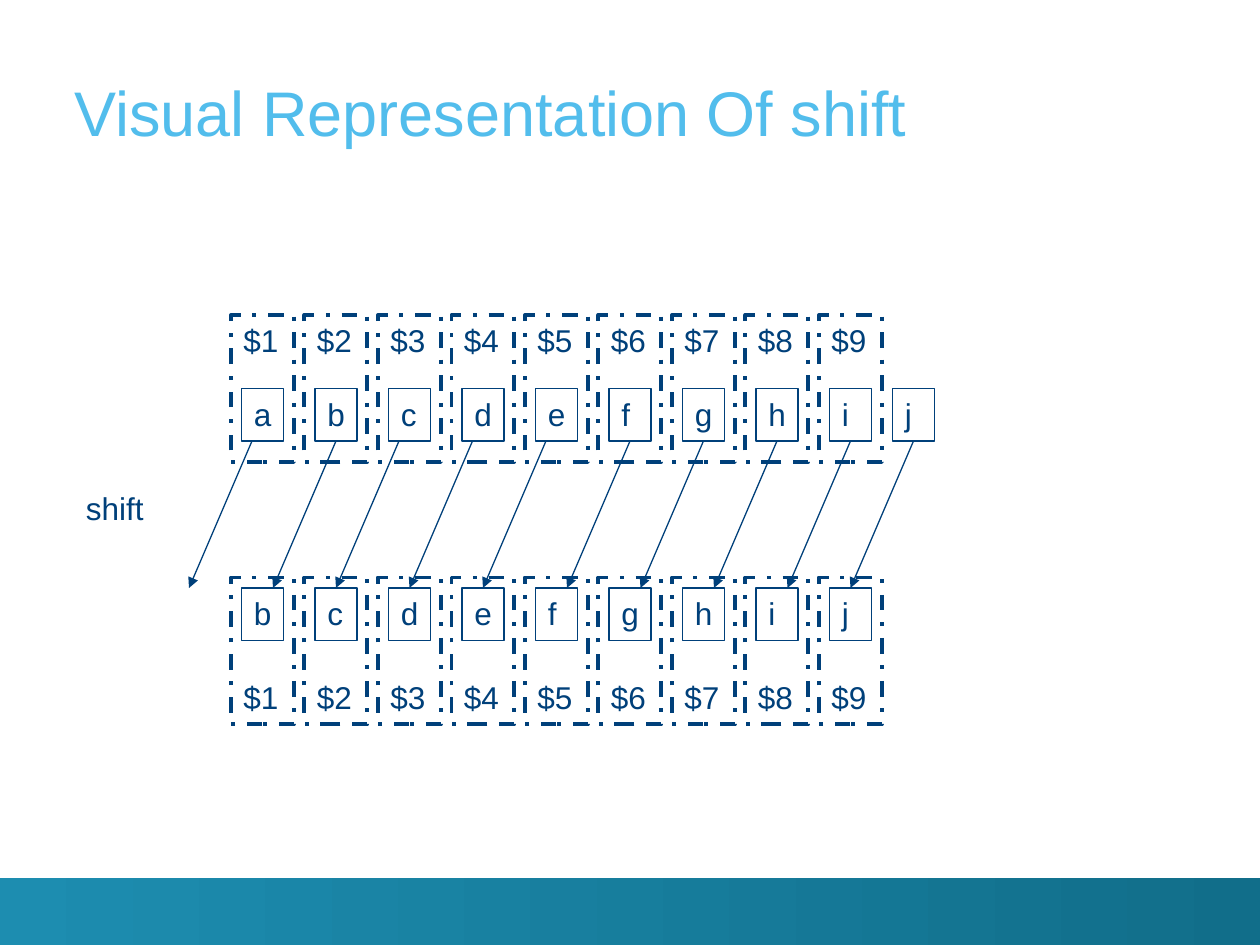
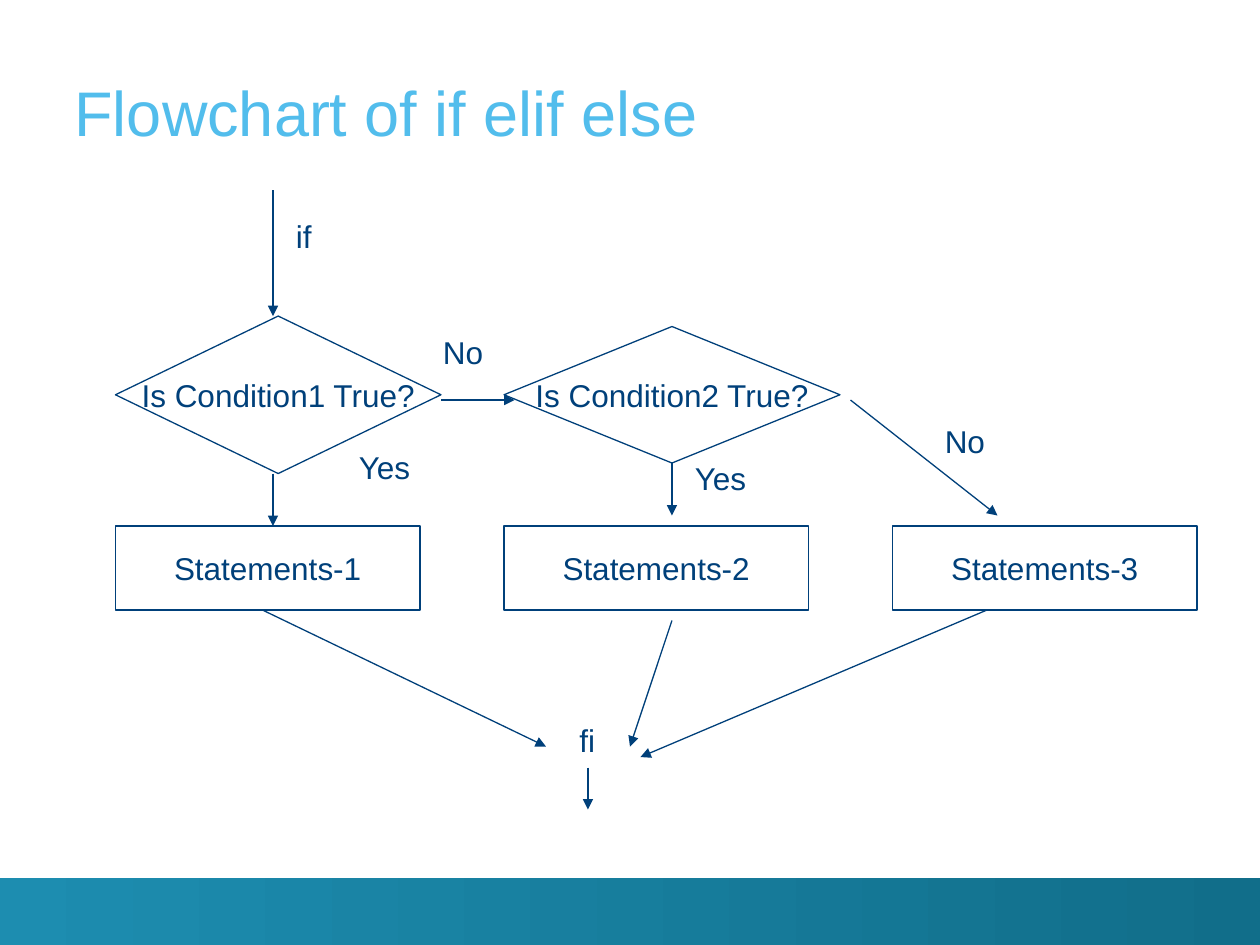
from dataclasses import dataclass

from lxml.etree import SubElement
from pptx import Presentation
from pptx.dml.color import RGBColor
from pptx.enum.dml import MSO_LINE
from pptx.enum.shapes import MSO_CONNECTOR, MSO_SHAPE
from pptx.enum.text import MSO_ANCHOR, MSO_AUTO_SIZE, PP_ALIGN
from pptx.oxml.ns import qn
from pptx.util import Pt

PX = 7620  # EMU per px, 120 px to the inch
WIDTH, HEIGHT = 1200, 900
TOP, BOTTOM = 0, 2  # connection sites


@dataclass(frozen=True)
class Theme:
    font: str = "Arial"
    title: str = "52BDEC"
    ink: str = "00407A"
    band: tuple = ("1D8DB0", "116E8A")
    title_pt: int = 36
    body_pt: int = 18
    thin_pt: float = 0.75
    thick_pt: float = 2.25


THEME = Theme()


def emu(*lengths):
    return [n * PX for n in lengths]


# Shared elements
def set_text(tf, text, color=THEME.ink, size=THEME.body_pt,
             align=PP_ALIGN.LEFT, anchor=MSO_ANCHOR.TOP, wrap=True):
    tf.text = text
    tf.auto_size = MSO_AUTO_SIZE.NONE
    tf.word_wrap = wrap
    tf.vertical_anchor = anchor
    p = tf.paragraphs[0]
    p.alignment = align
    font = p.runs[0].font
    font.name, font.size = THEME.font, Pt(size)
    font.color.rgb = RGBColor.from_string(color)


def add_title_slide(prs, title):
    s = prs.slides.add_slide(prs.slide_layouts[5])
    ph = s.shapes.title
    ph.left, ph.top, ph.width, ph.height = emu(71, 24, 1093, 118)
    tf = ph.text_frame
    tf.margin_left = tf.margin_right = tf.margin_top = tf.margin_bottom = 0
    set_text(tf, title, THEME.title, THEME.title_pt, anchor=MSO_ANCHOR.BOTTOM)
    return s


def add_layout_band(s):
    """Draw the footer band and move it to the layout that the slides share."""
    band = s.shapes.add_shape(MSO_SHAPE.RECTANGLE, *emu(0, 836, WIDTH, 64))
    band.shadow.inherit = False
    band.line.fill.background()
    band.fill.gradient()
    band.fill.gradient_angle = 0
    for stop, color, position in zip(band.fill.gradient_stops, THEME.band, (0, 1)):
        stop.color.rgb = RGBColor.from_string(color)
        stop.position = position
    s.slide_layout.shapes.element.append(band.element)


def set_line(line, width=THEME.thin_pt):
    line.color.rgb = RGBColor.from_string(THEME.ink)
    line.width = Pt(width)


def add_outline(s, x, y, w, h, kind=MSO_SHAPE.RECTANGLE, width=THEME.thin_pt):
    sp = s.shapes.add_shape(kind, *emu(x, y, w, h))
    sp.shadow.inherit = False
    sp.fill.background()
    set_line(sp.line, width)
    return sp


def add_label(s, text, x, y, w, h=60):
    box = s.shapes.add_textbox(*emu(x, y, w, h))
    set_text(box.text_frame, text)


def is_middle(sp, x):
    return sp is not None and sp.left + sp.width // 2 == x * PX


def add_arrow(s, x1, y1, x2, y2, source=None, target=None):
    """Join the arrow to a shape wherever it meets the middle of its side."""
    arrow = s.shapes.add_connector(MSO_CONNECTOR.STRAIGHT, *emu(x1, y1, x2, y2))
    set_line(arrow.line)
    spPr = arrow.element.spPr
    SubElement(spPr.find(qn("a:ln")), qn("a:tailEnd"), type="triangle")
    SubElement(spPr, qn("a:effectLst"))
    if is_middle(source, x1):
        arrow.begin_connect(source, BOTTOM)
    if is_middle(target, x2):
        arrow.end_connect(target, TOP)


# Shift diagram
def add_letter(s, letter, x, y):
    sp = add_outline(s, x, y, 40, 50)
    set_text(sp.text_frame, letter)
    return sp


def add_parameter(s, number, x, frame_y, label_y):
    add_label(s, f"${number}", x, label_y, 60, 48)
    frame = add_outline(s, x, frame_y, 60, 140, width=THEME.thick_pt)
    frame.line.dash_style = MSO_LINE.DASH_DOT


def build_shift(s):
    letters = "abcdefghij"
    columns = [230 + 70 * i for i in range(9)]
    before_x = columns + [850]
    before = [add_letter(s, c, x, 370) for c, x in zip(letters, before_x)]
    after = [add_letter(s, c, x, 560) for c, x in zip(letters[1:], columns)]
    for number, x in enumerate(columns, 1):
        add_parameter(s, number, x - 10, 300, 300)
        add_parameter(s, number, x - 10, 550, 640)

    # Each letter moves one place left, and the first drops out
    for letter, x, source, target in zip(letters, before_x, before, [None] + after):
        start = x + (10 if letter in "acde" else 20)
        add_arrow(s, start, 420, start - 60, 560, source, target)
    add_label(s, "shift", 70, 460, 100)


# Flowchart
def add_node(s, text, *box, kind=MSO_SHAPE.RECTANGLE):
    sp = add_outline(s, *box, kind=kind)
    set_text(sp.text_frame, text, align=PP_ALIGN.CENTER,
             anchor=MSO_ANCHOR.MIDDLE, wrap=False)
    return sp


def build_flowchart(s):
    decision = MSO_SHAPE.FLOWCHART_DECISION
    add_node(s, "Is Condition1 True?", 110, 301, 310, 150, kind=decision)
    condition2 = add_node(s, "Is Condition2 True?", 480, 311, 320, 130, kind=decision)
    for i in range(3):
        add_node(s, f"Statements-{i + 1}", 110 + 370 * i, 501, 290, 80)

    for text, x, y, w in (
        ("if", 270, 201, 45), ("No", 410, 311, 72), ("Yes", 330, 421, 86),
        ("Yes", 650, 431, 86), ("No", 888, 396, 72), ("fi", 540, 681, 45),
    ):
        add_label(s, text, x, y, w)

    # Entry, branches, then the paths that meet at fi
    for ends in (
        (260, 181, 260, 301), (260, 451, 260, 501), (420, 381, 490, 381),
        (810, 381, 950, 491), (250, 581, 520, 711), (640, 591, 600, 711),
        (940, 581, 610, 721), (560, 731, 560, 771),
    ):
        add_arrow(s, *ends)
    add_arrow(s, 640, 441, 640, 491, source=condition2)


def main():
    prs = Presentation()
    prs.slide_width, prs.slide_height = emu(WIDTH, HEIGHT)
    shift = add_title_slide(prs, "Visual Representation Of shift")
    add_layout_band(shift)
    build_shift(shift)
    build_flowchart(add_title_slide(prs, "Flowchart of if elif else"))
    prs.save("out.pptx")


if __name__ == "__main__":
    main()
